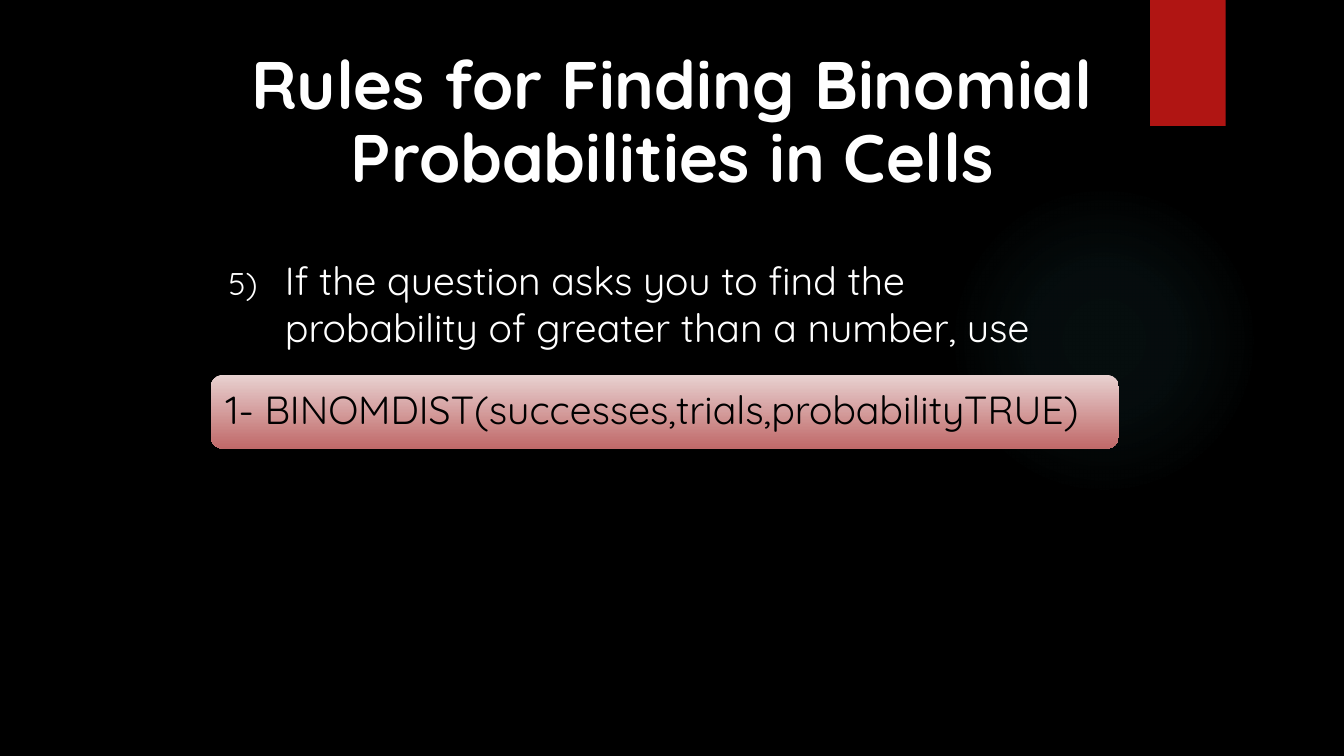
from lxml.etree import SubElement
from pptx import Presentation
from pptx.dml.color import RGBColor
from pptx.enum.shapes import MSO_SHAPE
from pptx.enum.text import MSO_ANCHOR, PP_ALIGN
from pptx.oxml.ns import qn
from pptx.util import Pt

TITLE = "Rules for Finding Binomial Probabilities in Cells"
RULE_NUMBER = 5
RULE = "If the question asks you to find the probability of greater than a number, use"
FORMULA = "1- BINOMDIST(successes,trials,probabilityTRUE)"

THEME = {
    "font": "Quicksand",
    "title_size": 48,
    "text_size": 28,
    "background": "000000",
    "light": "FFFFFF",
    "dark": "000000",
    "ribbon": "B01513",
    # Gradient stops: position %, colour, opacity %
    "glow": [(0, "50B9C1", 7), (36, "50B9C1", 6), (69, "50B9C1", 0)],
    "panel": [(0, "E8D1D0", 100), (100, "C06969", 100)],
}

# left, top, width, height in points
GLOW = (677.5, 131.8, 221.8, 221.8)
RIBBON = (821.5, 0, 54, 90)
TITLE_BOX = (161.3, 23.8, 637.9, 92.2)
RULE_BOX = (156.2, 183, 637, 72)
PANEL = (150.5, 267.8, 648.7, 52.6)
PANEL_MARGIN = 2.2
HANGING_INDENT = 40.3


def points(frame):
    return [Pt(value) for value in frame]


def add_plain_shape(slide, kind, frame):
    shape = slide.shapes.add_shape(kind, *points(frame))
    shape.shadow.inherit = False
    shape.line.fill.background()
    return shape


def set_gradient(shape, stops, radial=False):
    """Fill with stops running from the centre out, or from top to bottom."""
    shape.fill.gradient()
    gradient = shape._element.spPr.find(qn("a:gradFill"))
    for child in list(gradient):
        gradient.remove(child)
    stop_list = SubElement(gradient, qn("a:gsLst"))
    for position, colour, opacity in stops:
        stop = SubElement(stop_list, qn("a:gs"), pos=str(position * 1000))
        color = SubElement(stop, qn("a:srgbClr"), val=colour)
        if opacity < 100:
            SubElement(color, qn("a:alpha"), val=str(opacity * 1000))
    if radial:
        direction = SubElement(gradient, qn("a:path"), path="circle")
        SubElement(direction, qn("a:fillToRect"), l="50000", t="50000", r="50000", b="50000")
    else:
        SubElement(gradient, qn("a:lin"), ang="5400000", scaled="0")


def add_text(slide, frame, text, size, colour, margins, bold=False):
    box = slide.shapes.add_textbox(*points(frame))
    text_frame = box.text_frame
    text_frame.word_wrap = True
    (text_frame.margin_left, text_frame.margin_top,
     text_frame.margin_right, text_frame.margin_bottom) = points(margins)
    text_frame.text = text
    para = text_frame.paragraphs[0]
    font = para.runs[0].font
    font.name = THEME["font"]
    font.size = Pt(size)
    font.bold = bold
    font.color.rgb = RGBColor.from_string(colour)
    return text_frame, para


def set_number(para, start, colour):
    properties = para._p.get_or_add_pPr()
    properties.set("marL", str(Pt(HANGING_INDENT)))
    properties.set("indent", str(-Pt(HANGING_INDENT)))
    bullet_colour = SubElement(properties, qn("a:buClr"))
    SubElement(bullet_colour, qn("a:srgbClr"), val=colour)
    SubElement(properties, qn("a:buSzPct"), val="80000")
    SubElement(properties, qn("a:buFont"), typeface=THEME["font"])
    SubElement(properties, qn("a:buAutoNum"), type="arabicParenR", startAt=str(start))


def main():
    deck = Presentation()
    deck.slide_width, deck.slide_height = Pt(960), Pt(540)
    slide = deck.slides.add_slide(deck.slide_layouts[6])
    slide.background.fill.solid()
    slide.background.fill.fore_color.rgb = RGBColor.from_string(THEME["background"])

    set_gradient(add_plain_shape(slide, MSO_SHAPE.OVAL, GLOW), THEME["glow"], radial=True)
    ribbon = add_plain_shape(slide, MSO_SHAPE.RECTANGLE, RIBBON)
    ribbon.fill.solid()
    ribbon.fill.fore_color.rgb = RGBColor.from_string(THEME["ribbon"])

    title_para = add_text(slide, TITLE_BOX, TITLE, THEME["title_size"], THEME["light"],
                          [13] * 4, bold=True)[1]
    title_para.alignment = PP_ALIGN.CENTER
    title_para.line_spacing = 0.9

    rule_para = add_text(slide, RULE_BOX, RULE, THEME["text_size"], THEME["light"],
                         (7.2, 0, 7.2, 0))[1]
    set_number(rule_para, RULE_NUMBER, THEME["light"])

    set_gradient(add_plain_shape(slide, MSO_SHAPE.ROUNDED_RECTANGLE, PANEL), THEME["panel"])
    left, top, width, height = PANEL
    formula_box = (left + PANEL_MARGIN, top + PANEL_MARGIN,
                   width - 2 * PANEL_MARGIN, height - 2 * PANEL_MARGIN)
    formula_frame, formula_para = add_text(slide, formula_box, FORMULA, THEME["text_size"],
                                           THEME["dark"], [8.4] * 4)
    formula_frame.vertical_anchor = MSO_ANCHOR.MIDDLE
    formula_para.line_spacing = 0.9

    deck.save("out.pptx")


if __name__ == "__main__":
    main()
